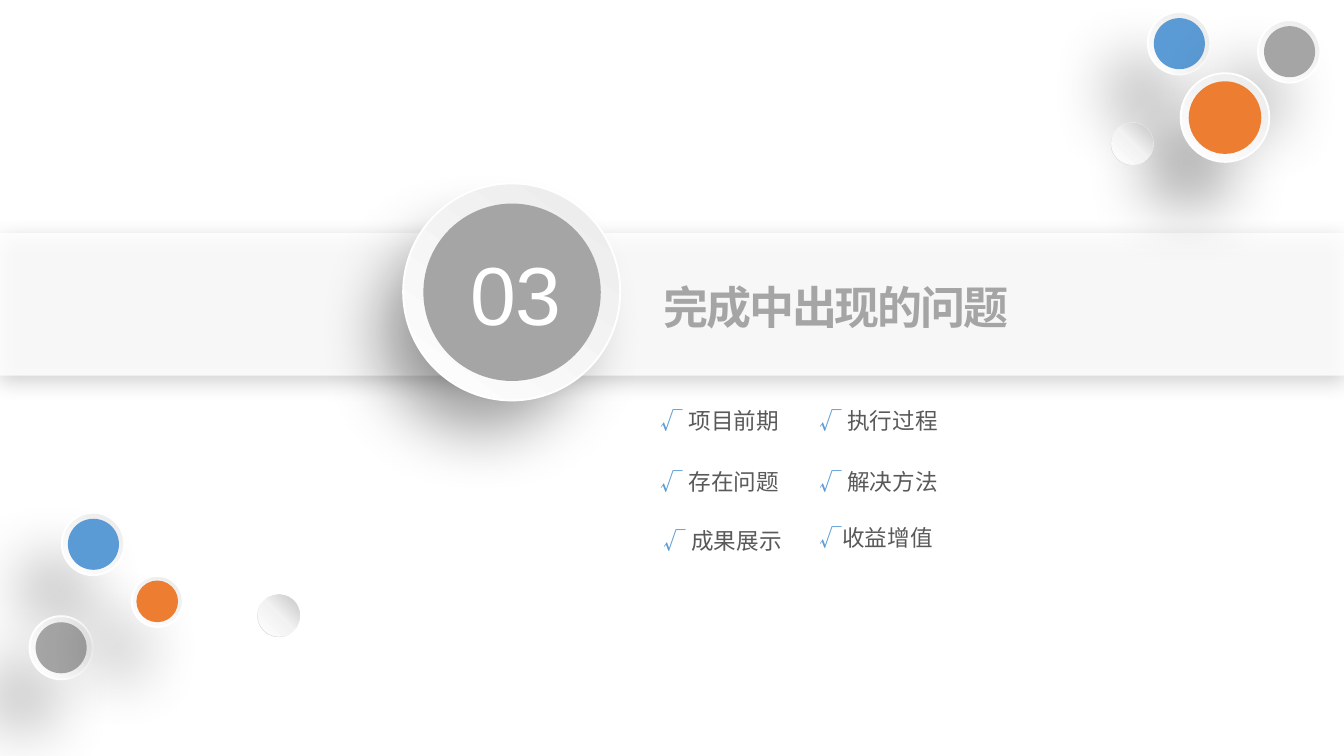
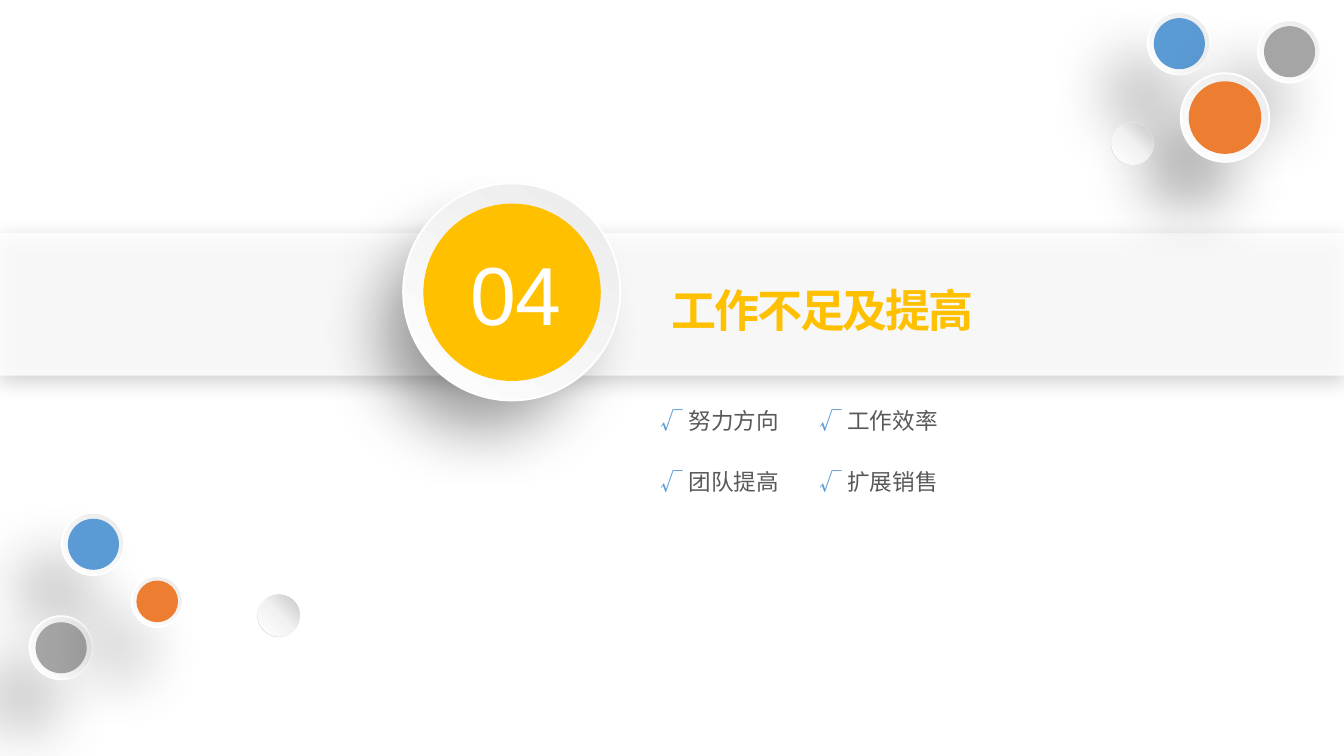
from dataclasses import dataclass
from typing import Any

from lxml import etree
from pptx import Presentation
from pptx.dml.color import RGBColor
from pptx.enum.shapes import MSO_SHAPE
from pptx.enum.text import MSO_ANCHOR
from pptx.oxml.ns import qn
from pptx.util import Emu, Pt

RECT, OVAL, DONUT = MSO_SHAPE.RECTANGLE, MSO_SHAPE.OVAL, MSO_SHAPE.DONUT
MIDDLE = MSO_ANCHOR.MIDDLE
PX = 4572
SLIDE_WIDTH, SLIDE_HEIGHT = 2000, 1125


@dataclass(frozen=True)
class Gradient:
    stops: tuple[tuple[int, str], ...]
    angle: int


@dataclass(frozen=True)
class Shadow:
    alpha: int
    blur: int
    distance: int
    angle: int
    scale: int = 100


@dataclass(frozen=True)
class TextStyle:
    size: float
    font: str
    bottom: int = 0
    bold: bool = False
    spacing: int = 0


@dataclass(frozen=True)
class Theme:
    white: str = "FFFFFF"
    blue: str = "5B9BD5"
    gray: str = "A5A5A5"
    orange: str = "ED7D31"
    gold: str = "FFC000"
    body: str = "595959"
    band_alpha: int = 84
    rim: Gradient = Gradient(((0, "EBEBEB"), (100, "FEFEFE")), 126)
    ring: Gradient = Gradient(((0, "F2F2F2"), (55, "F2F2F2"), (100, "D9D9D9")), 135)
    pearl: Gradient = Gradient(((0, "FFFFFF"), (51, "F2F2F2"), (100, "C5C5C5")), 315)
    band_shadow: Shadow = Shadow(22, 11, 3, 90)
    disc_shadow: Shadow = Shadow(38, 36, 35, 130, scale=90)
    number: TextStyle = TextStyle(44.1, "Arial")
    title: TextStyle = TextStyle(24.1, "Noto Sans CJK SC", bottom=2, bold=True, spacing=-120)
    topic: TextStyle = TextStyle(12.1, "Noto Sans CJK SC")


THEME = Theme()


@dataclass(frozen=True)
class Box:
    left: int
    top: int
    width: int
    height: int

    def emu(self) -> tuple[Emu, ...]:
        return tuple(Emu(v * PX) for v in (self.left, self.top, self.width, self.height))


@dataclass(frozen=True)
class Disc:
    left: int
    top: int
    rim: int
    core: int
    color: str


@dataclass(frozen=True)
class Topic:
    text: str
    dx: int = 0
    dy: int = 0
    mark: str = "√ "


@dataclass(frozen=True)
class Section:
    number: str
    title: str
    color: str
    title_box: Box
    topics: tuple[Topic, ...]


LEFT_DISCS = (
    Disc(92, 763, 93, 76, THEME.blue),
    Disc(44, 917, 94, 76, THEME.gray),
    Disc(196, 857, 76, 62, THEME.orange),
)
RIGHT_DISCS = (
    Disc(1708, 18, 93, 76, THEME.blue),
    Disc(1872, 30, 93, 76, THEME.gray),
    Disc(1757, 109, 132, 108, THEME.orange),
)
TOPIC_COLUMNS = (964, 1200)
TOPIC_TOP, TOPIC_PITCH = 596, 90

SECTIONS = (
    Section("03", "完成中出现的问题", THEME.gray, Box(968, 406, 602, 102), (
        Topic("项目前期"), Topic("执行过程"),
        Topic("存在问题"), Topic("解决方法"),
        Topic("成果展示", dx=4, dy=-2), Topic("收益增值", dy=-6, mark="√"),
    )),
    Section("04", "工作不足及提高", THEME.gold, Box(980, 410, 544, 102), (
        Topic("努力方向"), Topic("工作效率"),
        Topic("团队提高"), Topic("扩展销售"),
    )),
)


def apply(target: Any, values: dict[str, Any]) -> None:
    for key, value in values.items():
        setattr(target, key, value)


def add_node(parent: Any, tag: str, **attributes: Any) -> Any:
    return etree.SubElement(parent, qn(tag), {k: str(v) for k, v in attributes.items()})


def add_color(parent: Any, color: str, alpha: int = 100) -> None:
    node = add_node(parent, "a:srgbClr", val=color)
    if alpha < 100:
        add_node(node, "a:alpha", val=alpha * 1000)


def paint_gradient(shape: Any, gradient: Gradient) -> None:
    fill = etree.Element(qn("a:gradFill"), rotWithShape="1")
    stops = add_node(fill, "a:gsLst")
    for position, color in gradient.stops:
        add_color(add_node(stops, "a:gs", pos=position * 1000), color)
    add_node(fill, "a:lin", ang=gradient.angle * 60000, scaled=0)
    solid = shape._element.spPr.find(qn("a:solidFill"))
    solid.getparent().replace(solid, fill)


def cast_shadow(shape: Any, shadow: Shadow) -> None:
    effects = shape._element.spPr.find(qn("a:effectLst"))
    outer = add_node(effects, "a:outerShdw", blurRad=Pt(shadow.blur), dist=Pt(shadow.distance),
                     dir=shadow.angle * 60000, sx=shadow.scale * 1000,
                     sy=shadow.scale * 1000, algn="tr", rotWithShape=0)
    add_color(outer, "000000", shadow.alpha)


def add_figure(shapes: Any, kind: Any, box: Box, fill: str | Gradient,
               outline: str | None = None, shadow: Shadow | None = None) -> Any:
    shape = shapes.add_shape(kind, *box.emu())
    shape.shadow.inherit = False
    shape.fill.solid()
    if isinstance(fill, Gradient):
        paint_gradient(shape, fill)
    else:
        shape.fill.fore_color.rgb = RGBColor.from_string(fill)
    if outline:
        shape.line.color.rgb = RGBColor.from_string(outline)
        shape.line.width = Pt(1)
    else:
        shape.line.fill.background()
    if shadow:
        cast_shadow(shape, shadow)
    return shape


def add_text(shapes: Any, box: Box, style: TextStyle, *parts: tuple[str, str]) -> None:
    frame = shapes.add_textbox(*box.emu()).text_frame
    apply(frame, {
        "word_wrap": True, "vertical_anchor": MIDDLE,
        "margin_left": 20 * PX, "margin_right": 0,
        "margin_top": 0, "margin_bottom": style.bottom * PX,
    })
    for text, color in parts:
        run = frame.paragraphs[0].add_run()
        run.text = text
        apply(run.font, {"size": Pt(style.size), "name": style.font, "bold": style.bold})
        run.font.color.rgb = RGBColor.from_string(color)
        properties = run._r.get_or_add_rPr()
        add_node(properties, "a:ea", typeface=style.font)
        if style.spacing:
            properties.set("spc", str(style.spacing))


def add_disc(slide: Any, disc: Disc) -> Any:
    shapes = slide.shapes.add_group_shape().shapes
    inset = (disc.rim - disc.core + 1) // 2
    add_figure(shapes, OVAL, Box(disc.left, disc.top, disc.rim, disc.rim),
               THEME.rim, THEME.white, THEME.disc_shadow)
    add_figure(shapes, OVAL, Box(disc.left + inset, disc.top + inset, disc.core, disc.core),
               disc.color)
    return shapes


def add_pearl(slide: Any, left: int, top: int) -> None:
    shapes = slide.shapes.add_group_shape().shapes
    ring = add_figure(shapes, DONUT, Box(left, top, 64, 64), THEME.ring)
    ring.adjustments[0] = 0.05
    add_figure(shapes, OVAL, Box(left + 1, top + 1, 62, 62), THEME.pearl)


def add_band(slide: Any) -> None:
    band = add_figure(slide.shapes, RECT, Box(0, 347, SLIDE_WIDTH, 212), THEME.white,
                      shadow=THEME.band_shadow)
    color = band._element.spPr.find(qn("a:solidFill"))[0]
    add_node(color, "a:alpha", val=THEME.band_alpha * 1000)


def add_topics(slide: Any, topics: tuple[Topic, ...]) -> None:
    for index, topic in enumerate(topics):
        row, column = divmod(index, len(TOPIC_COLUMNS))
        box = Box(TOPIC_COLUMNS[column] + topic.dx,
                  TOPIC_TOP + row * TOPIC_PITCH + topic.dy, 220, 60)
        add_text(slide.shapes, box, THEME.topic,
                 (topic.mark, THEME.blue), (topic.text, THEME.body))


def build_section(slide: Any, section: Section) -> None:
    add_band(slide)
    add_topics(slide, section.topics)
    add_pearl(slide, 383, 884)
    badge = add_disc(slide, Disc(600, 273, 323, 264, section.color))
    add_text(badge, Box(680, 352, 188, 168), THEME.number, (section.number, THEME.white))
    for disc in LEFT_DISCS:
        add_disc(slide, disc)
    add_text(slide.shapes, section.title_box, THEME.title, (section.title, section.color))
    for disc in RIGHT_DISCS:
        add_disc(slide, disc)
    add_pearl(slide, 1653, 182)


def main() -> None:
    deck = Presentation()
    apply(deck, {"slide_width": Emu(SLIDE_WIDTH * PX), "slide_height": Emu(SLIDE_HEIGHT * PX)})
    for section in SECTIONS:
        build_section(deck.slides.add_slide(deck.slide_layouts[6]), section)
    deck.save("out.pptx")


if __name__ == "__main__":
    main()
